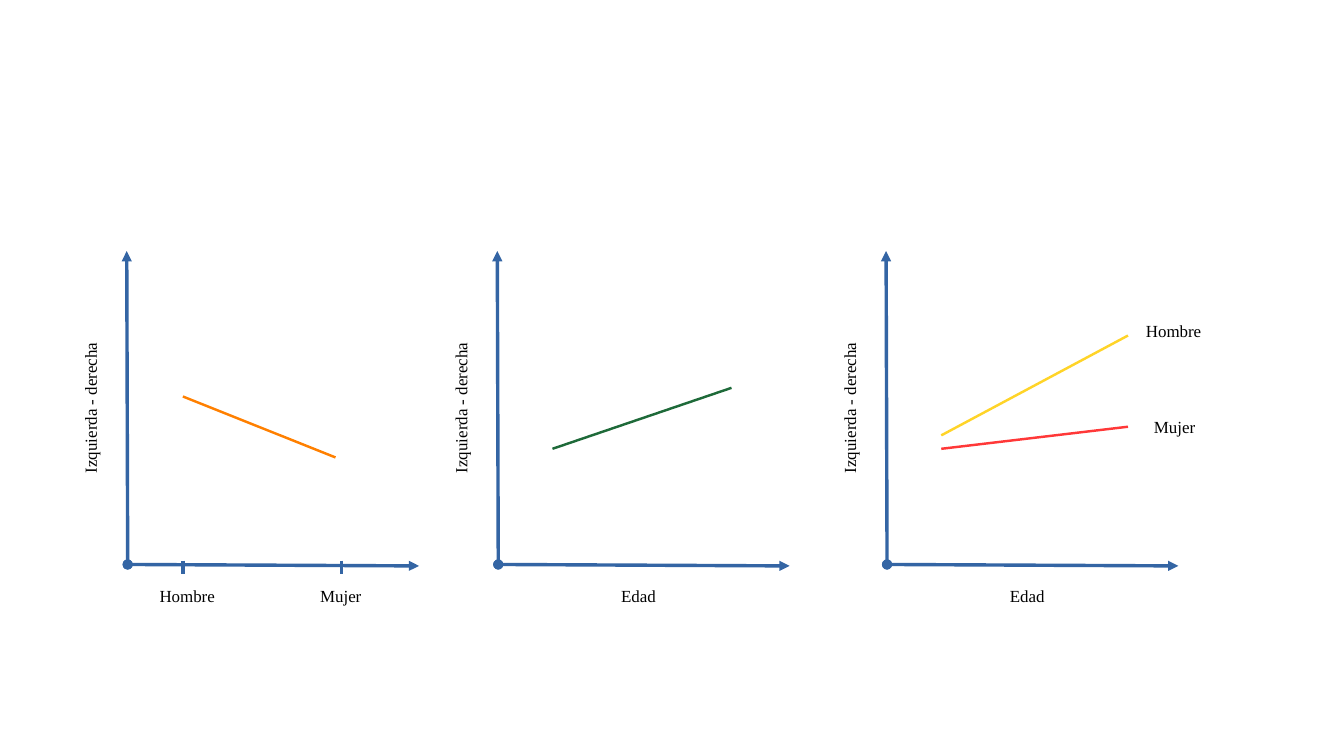
from pptx import Presentation
from pptx.dml.color import RGBColor
from pptx.enum.shapes import MSO_CONNECTOR
from pptx.enum.text import PP_ALIGN
from pptx.oxml.ns import qn
from pptx.util import Cm, Pt
from lxml import etree

STRAIGHT = MSO_CONNECTOR.STRAIGHT
CENTER = PP_ALIGN.CENTER

BLACK = RGBColor(0x00, 0x00, 0x00)
AXIS_BLUE = RGBColor(0x34, 0x65, 0xA4)
ORANGE = RGBColor(0xFF, 0x80, 0x00)
GREEN = RGBColor(0x1E, 0x6A, 0x39)
RED = RGBColor(0xFF, 0x38, 0x38)
YELLOW = RGBColor(0xFF, 0xD4, 0x28)

ORIGINS_X = (2.66, 10.38, 18.48)
BASE_Y = 11.76
TICKS_X = (3.81, 7.11)
CATEGORY_Y = 12.07

prs = Presentation()
prs.slide_width, prs.slide_height = Cm(28), Cm(15.75)
slide = prs.slides.add_slide(prs.slide_layouts[6])


def add_line(x1, y1, x2, y2, color, width=0, axis=False):
    """Draw a line in cm; an axis gets an oval at its origin and an arrow at its end."""
    line = slide.shapes.add_connector(STRAIGHT, Cm(x1), Cm(y1), Cm(x2), Cm(y2))
    line.line.color.rgb = color
    line.line.width = Pt(width)
    properties = line._element.spPr
    if axis:
        outline = properties.find(qn("a:ln"))
        etree.SubElement(outline, qn("a:headEnd"), type="oval")
        etree.SubElement(outline, qn("a:tailEnd"), type="triangle")
    etree.SubElement(properties, qn("a:effectLst"))


def add_label(text, left, top, width=1.9, height=0.97, rotation=0, size=10):
    label = slide.shapes.add_textbox(Cm(left), Cm(top), Cm(width), Cm(height))
    label.rotation = rotation
    label.text_frame.word_wrap = True
    paragraph = label.text_frame.paragraphs[0]
    paragraph.text = text
    paragraph.alignment = CENTER
    paragraph.font.name = "Times New Roman"
    paragraph.font.size = Pt(size)
    paragraph.font.color.rgb = BLACK


# Axes shared by the three plots
for origin_x in ORIGINS_X:
    add_line(origin_x, BASE_Y, origin_x - 0.02, 5.23, AXIS_BLUE, axis=True)
    add_line(origin_x, BASE_Y, origin_x + 6.07, BASE_Y + 0.03, AXIS_BLUE, axis=True)
    add_label("Izquierda - derecha", origin_x - 2.82, 8.18, 4.04, 0.64, rotation=270)

# Sex categories on the first plot, age on the other two
for tick_x in TICKS_X:
    add_line(tick_x, 11.68, tick_x, 11.96, AXIS_BLUE)
add_label("Hombre", 2.95, CATEGORY_Y)
add_label("Mujer", 6.15, CATEGORY_Y)
for origin_x in ORIGINS_X[1:]:
    add_label("Edad", origin_x + 1.97, CATEGORY_Y)

# Trends
for x1, y1, x2, y2, color in (
    (3.81, 8.26, 6.99, 9.53, ORANGE),
    (11.51, 9.35, 15.24, 8.08, GREEN),
    (19.61, 9.35, 23.5, 8.89, RED),
    (19.61, 9.07, 23.5, 6.99, YELLOW),
):
    add_line(x1, y1, x2, y2, color, width=1.45)

# Names of the two trends on the third plot
add_label("Mujer", 23.52, 8.56)
add_label("Hombre", 23.5, 6.55)

prs.save("out.pptx")
